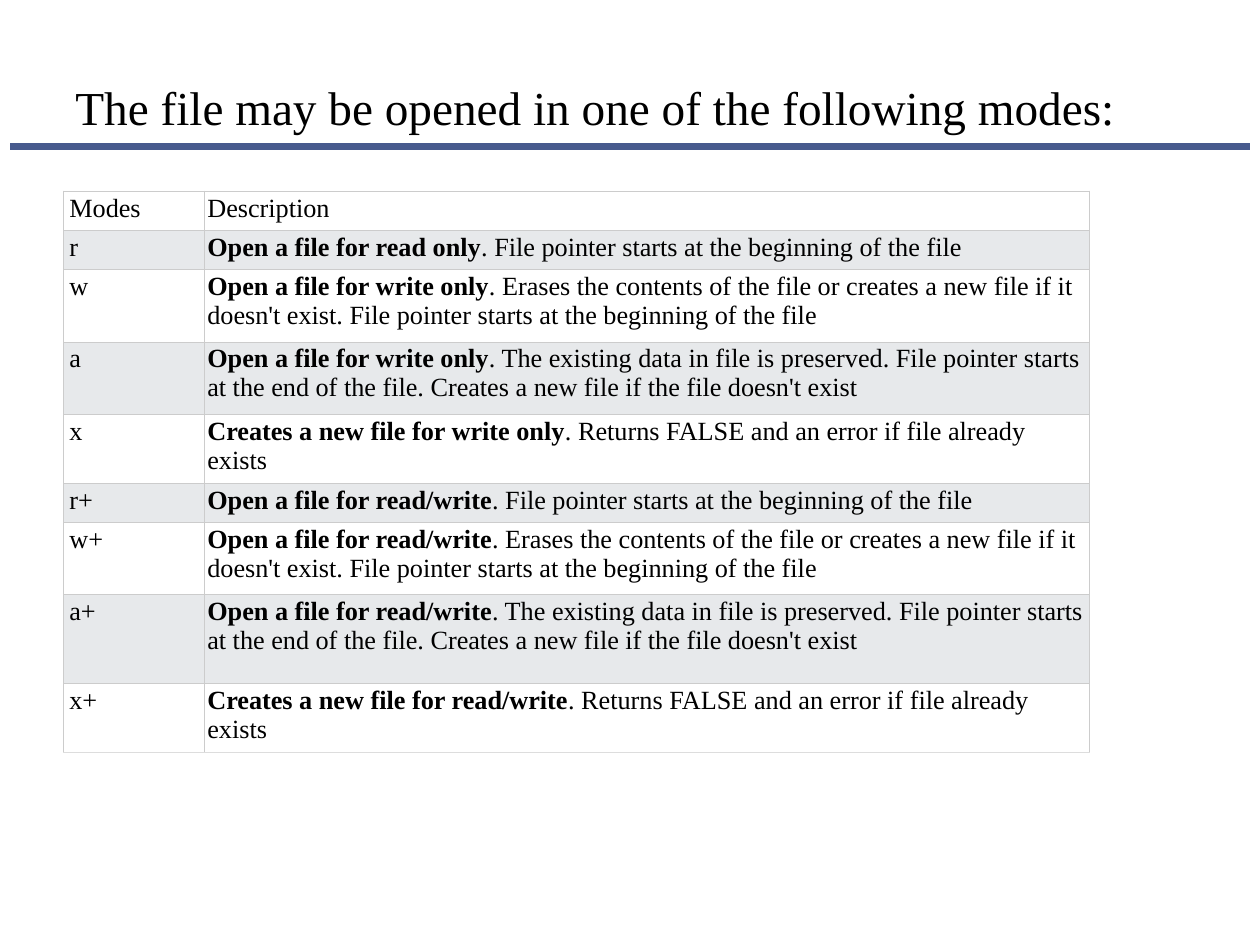
from lxml import etree
from pptx import Presentation
from pptx.dml.color import RGBColor
from pptx.enum.shapes import MSO_CONNECTOR
from pptx.enum.text import MSO_ANCHOR
from pptx.oxml.ns import qn
from pptx.util import Pt

STRAIGHT = MSO_CONNECTOR.STRAIGHT
BOTTOM = MSO_ANCHOR.BOTTOM
FONT = "Times New Roman"
BLACK = RGBColor(0x00, 0x00, 0x00)
WHITE = RGBColor(0xFF, 0xFF, 0xFF)
BAND = RGBColor(0xE7, 0xE9, 0xEB)
RULE = RGBColor(0x47, 0x5A, 0x8D)
GRID = RGBColor(0xCC, 0xCC, 0xCC)
LAST_EDGE = RGBColor(0xDD, 0xDD, 0xDD)

START = ". File pointer starts at the beginning of the file"
ERASE = (". Erases the contents of the file or creates a new file if it "
         "doesn't exist" + START)
KEEP = (". The existing data in file is preserved. File pointer starts at the "
        "end of the file. Creates a new file if the file doesn't exist")
FAIL = ". Returns FALSE and an error if file already exists"

# mode, bold lead, rest of the description, row height
ROWS = [
    ("Modes", "", "Description", 22.5),
    ("r", "Open a file for read only", START, 22.5),
    ("w", "Open a file for write only", ERASE, 41.25),
    ("a", "Open a file for write only", KEEP, 41.25),
    ("x", "Creates a new file for write only", FAIL, 39.5),
    ("r+", "Open a file for read/write", START, 22.5),
    ("w+", "Open a file for read/write", ERASE, 41.25),
    ("a+", "Open a file for read/write", KEEP, 50.5),
    ("x+", "Creates a new file for read/write", FAIL, 39.5),
]
COLUMNS = [80.75, 505.75]


def add_run(p, text, size, bold=False):
    r = p.add_run()
    r.text = text
    r.font.name = FONT
    r.font.size = Pt(size)
    r.font.bold = bold
    r.font.color.rgb = BLACK


def set_borders(cell, bottom):
    """Draw thin lines round a cell; the schema wants them before its fill."""
    tcPr = cell._tc.get_or_add_tcPr()
    edges = [("a:lnL", GRID), ("a:lnR", GRID), ("a:lnT", GRID), ("a:lnB", bottom)]
    for i, (tag, color) in enumerate(edges):
        ln = etree.Element(qn(tag), w=str(Pt(0.6)))
        fill = etree.SubElement(ln, qn("a:solidFill"))
        etree.SubElement(fill, qn("a:srgbClr"), val=str(color))
        tcPr.insert(i, ln)


prs = Presentation()
prs.slide_width, prs.slide_height = Pt(720), Pt(540)
s = prs.slides.add_slide(prs.slide_layouts[6])

rule = s.shapes.add_connector(STRAIGHT, Pt(5.75), Pt(84), Pt(714.25), Pt(84))
rule.line.color.rgb = RULE
rule.line.width = Pt(4)
etree.SubElement(rule._element.spPr, qn("a:effectLst"))

title = s.shapes.add_textbox(Pt(36), Pt(24.5), Pt(648), Pt(56))
tf = title.text_frame
tf.word_wrap = True
tf.vertical_anchor = BOTTOM
add_run(tf.paragraphs[0], "The file may be opened in one of the following modes:", 27)

table = s.shapes.add_table(len(ROWS), len(COLUMNS), Pt(36.25), Pt(109.25),
                           Pt(sum(COLUMNS)), Pt(sum(row[3] for row in ROWS))).table
for column, width in zip(table.columns, COLUMNS):
    column.width = Pt(width)

for i, (mode, lead, rest, height) in enumerate(ROWS):
    table.rows[i].height = Pt(height)
    for j, (bold, plain) in enumerate([("", mode), (lead, rest)]):
        cell = table.cell(i, j)
        cell.margin_left = Pt(1.5 if j else 3.4)
        cell.margin_right = cell.margin_top = cell.margin_bottom = Pt(1.5)
        cell.fill.solid()
        cell.fill.fore_color.rgb = BAND if i % 2 else WHITE
        set_borders(cell, LAST_EDGE if i == len(ROWS) - 1 else GRID)
        p = cell.text_frame.paragraphs[0]
        if bold:
            add_run(p, bold, 15, True)
        add_run(p, plain, 15)

prs.save("out.pptx")
